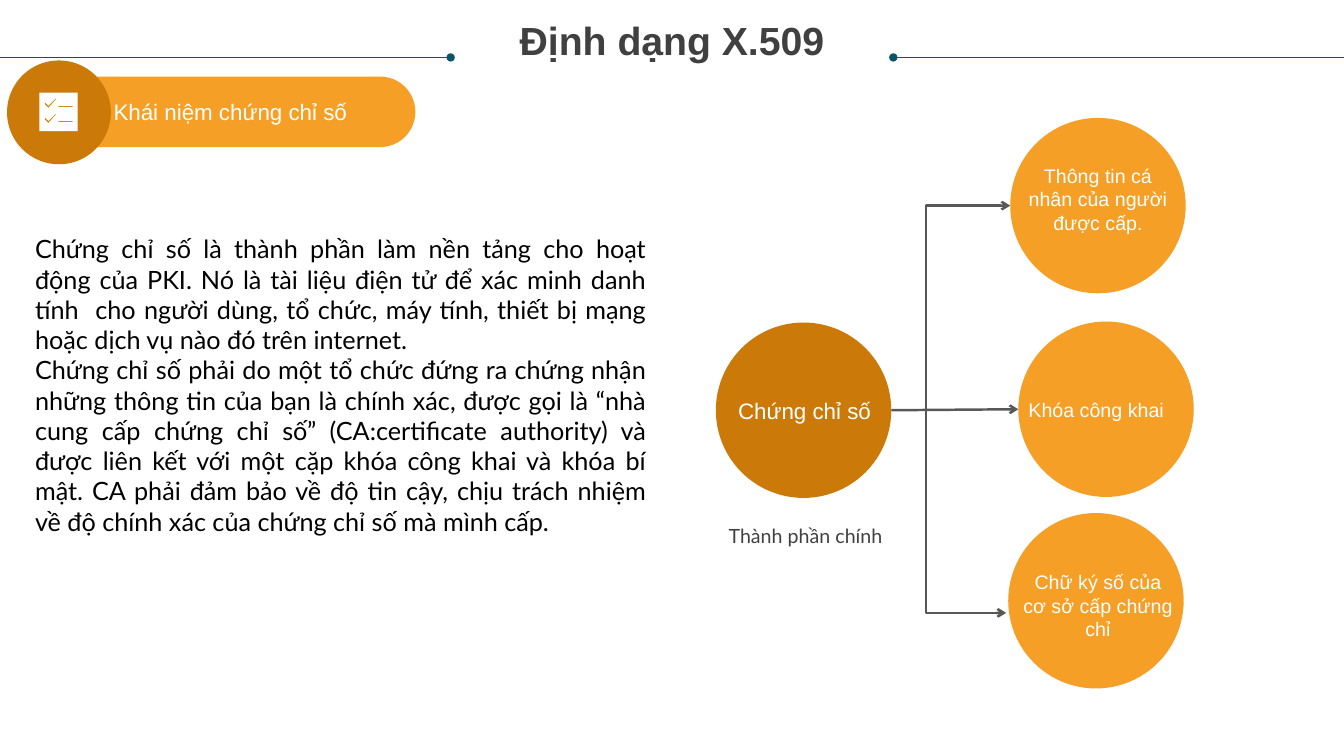
"""Build the slide on the X.509 format and the parts of a digital certificate."""
from lxml import etree
from pptx import Presentation
from pptx.dml.color import RGBColor
from pptx.enum.shapes import MSO_CONNECTOR, MSO_SHAPE
from pptx.enum.text import MSO_ANCHOR, MSO_AUTO_SIZE, PP_ALIGN
from pptx.oxml.ns import qn
from pptx.util import Inches, Pt

STRAIGHT, ELBOW = MSO_CONNECTOR.STRAIGHT, MSO_CONNECTOR.ELBOW
ELLIPSE, ROUNDED = MSO_SHAPE.OVAL, MSO_SHAPE.ROUNDED_RECTANGLE
TOP, MIDDLE = MSO_ANCHOR.TOP, MSO_ANCHOR.MIDDLE
CENTER, JUSTIFY = PP_ALIGN.CENTER, PP_ALIGN.JUSTIFY

ORANGE = RGBColor(0xF5, 0x9F, 0x26)
BROWN = RGBColor(0xCB, 0x7A, 0x09)
TEAL = RGBColor(0x08, 0x57, 0x64)
GREY = RGBColor(0x58, 0x58, 0x58)
DARK = RGBColor(0x40, 0x40, 0x40)
BLACK = RGBColor(0, 0, 0)
WHITE = RGBColor(0xFF, 0xFF, 0xFF)

WIDTH, HEIGHT = 13.33, 7.5
TITLE = "Định dạng X.509"
SECTION = "Khái niệm chứng chỉ số"
BODY = [
    "Chứng chỉ số là thành phần làm nền tảng cho hoạt động của PKI. Nó là tài liệu "
    "điện tử để xác minh danh tính  cho người dùng, tổ chức, máy tính, thiết bị mạng "
    "hoặc dịch vụ nào đó trên internet.",
    "Chứng chỉ số phải do một tổ chức đứng ra chứng nhận những thông tin của bạn là "
    "chính xác, được gọi là “nhà cung cấp chứng chỉ số” (CA:certificate authority) và "
    "được liên kết với một cặp khóa công khai và khóa bí mật. CA phải đảm bảo về độ tin "
    "cậy, chịu trách nhiệm về độ chính xác của chứng chỉ số mà mình cấp.",
]
DIAMETER = 1.74
CIRCLES = [
    (7.1, 3.2, BROWN), (10.1, 3.19, ORANGE), (10.02, 1.17, ORANGE), (10, 5.09, ORANGE),
]
WHITE_16 = {"size": Pt(16), "name": "Arial", "color": WHITE}
WHITE_14 = {**WHITE_16, "size": Pt(14)}
LABELS = [
    ("Chứng chỉ số", (7.23, 3.94, 1.5, 0.27), WHITE_16, None),
    ("Khóa công khai ", (10.15, 3.94, 1.5, 0.24), WHITE_14, None),
    ("Thông tin cá nhân của người được cấp.", (10.14, 1.62, 1.5, 0.71), WHITE_14, None),
    ("Thành phần chính", (7.09, 5.18, 1.8, 0.24),
     {"size": Pt(14), "name": "Lato", "color": DARK}, Pt(19)),
    ("Chữ ký số của cơ sở cấp chứng chỉ", (10.14, 5.65, 1.5, 0.71), WHITE_14, None),
]
RULE_Y, RULE_LENGTH = 0.57, 4.47
TRUNK_X, BRANCH_TOP, BRANCH_BOTTOM = 9.19, (10.02, 2.04), (9.98, 6.08)
ICON_LEFT, ICON_TOP, ICON_SIDE = 0.39, 0.92, 0.38
TICK = [(0.17, 0.06), (0.09, 0.15), (0.05, 0.11), (0.06, 0.1), (0.09, 0.13), (0.16, 0.06)]
DASH = [(0.19, 0.13), (0.33, 0.13), (0.33, 0.14), (0.19, 0.14)]
ICON_ROWS = (0, 0.15)


def inches(values):
    return [Inches(value) for value in values]


def write(shape, texts, formats, align=CENTER, anchor=MIDDLE, margin=None, spacing=None):
    frame = shape.text_frame
    frame.word_wrap = True
    frame.auto_size = MSO_AUTO_SIZE.NONE
    frame.vertical_anchor = anchor
    if margin is not None:
        for side in ("left", "top", "right", "bottom"):
            setattr(frame, f"margin_{side}", margin)
    for index, text in enumerate(texts):
        paragraph = frame.paragraphs[0] if index == 0 else frame.add_paragraph()
        paragraph.alignment = align
        if spacing:
            paragraph.line_spacing = spacing
        run = paragraph.add_run()
        run.text = text
        for name, value in formats.items():
            if name == "color":
                run.font.color.rgb = value
            else:
                setattr(run.font, name, value)


def paint(shape, color):
    shape.shadow.inherit = False
    shape.fill.solid()
    shape.fill.fore_color.rgb = color
    shape.line.fill.background()
    return shape


def add_line(shapes, kind, begin, end, color, width, ends):
    connector = shapes.add_connector(kind, *inches((*begin, *end)))
    connector.line.color.rgb = color
    connector.line.width = Pt(width)
    line = connector.line._get_or_add_ln()
    for tag, marker in ends.items():
        etree.SubElement(line, qn(f"a:{tag}"), type=marker)
    etree.SubElement(connector._element.spPr, qn("a:effectLst"))
    return connector


def add_icon(shapes):
    square = [(0, 0), (ICON_SIDE, 0), (ICON_SIDE, ICON_SIDE), (0, ICON_SIDE)]
    outlines = [square] + [
        [(x, y + row) for x, y in mark] for row in ICON_ROWS for mark in (TICK, DASH)
    ]
    builder = None
    for outline in outlines:
        points = [inches((ICON_LEFT + x, ICON_TOP + y)) for x, y in outline]
        if builder is None:
            builder = shapes.build_freeform(*points[0])
        else:
            builder.move_to(*points[0])
        builder.add_line_segments(points[1:], close=True)
    paint(builder.convert_to_shape(), WHITE)


def main():
    presentation = Presentation()
    presentation.slide_width, presentation.slide_height = inches((WIDTH, HEIGHT))
    slide = presentation.slides.add_slide(presentation.slide_layouts[5])
    shapes = slide.shapes

    title = shapes.title
    title.left, title.top, title.width, title.height = inches((0.25, 0.21, 12.83, 0.85))
    title_format = {"size": Pt(28), "name": "Arial", "color": DARK, "bold": True}
    write(title, [TITLE], title_format, anchor=TOP, margin=0, spacing=0.9)

    for edge, inner in ((0, RULE_LENGTH), (WIDTH, WIDTH - RULE_LENGTH)):
        add_line(shapes, STRAIGHT, (edge, RULE_Y), (inner, RULE_Y), TEAL, 0.5,
                 {"tailEnd": "oval"})

    banner = paint(shapes.add_shape(ROUNDED, *inches((0.45, 0.76, 3.67, 0.7))), ORANGE)
    banner.adjustments[0] = 0.5
    write(banner, [SECTION], WHITE_16)
    paint(shapes.add_shape(ELLIPSE, *inches((0.07, 0.6, 1.03, 1.03))), BROWN)
    add_icon(shapes)

    for left, top, color in CIRCLES:
        box = inches((left, top, DIAMETER, DIAMETER))
        paint(shapes.add_shape(ELLIPSE, *box), color)

    hub, key = [(left, top + DIAMETER / 2) for left, top, _ in CIRCLES[:2]]
    add_line(shapes, STRAIGHT, (hub[0] + DIAMETER, hub[1]), key, GREY, 1.75,
             {"tailEnd": "arrow"})
    branch = add_line(shapes, ELBOW, BRANCH_TOP, BRANCH_BOTTOM, GREY, 1.75,
                      {"headEnd": "arrow", "tailEnd": "arrow"})
    bend = (BRANCH_TOP[0] - TRUNK_X) / (BRANCH_TOP[0] - BRANCH_BOTTOM[0])
    guides = branch._element.spPr.find(qn("a:prstGeom")).get_or_add_avLst()
    etree.SubElement(guides, qn("a:gd"), name="adj1", fmla=f"val {round(bend * 100000)}")

    for text, box, formats, spacing in LABELS:
        label = shapes.add_textbox(*inches(box))
        write(label, [text], formats, margin=0, spacing=spacing)

    body = shapes.add_textbox(*inches((0.25, 2.27, 6.26, 3.43)))
    body_format = {"size": Pt(18), "name": "Lato", "color": BLACK}
    write(body, BODY, body_format, align=JUSTIFY, anchor=TOP)

    presentation.save("out.pptx")


if __name__ == "__main__":
    main()
